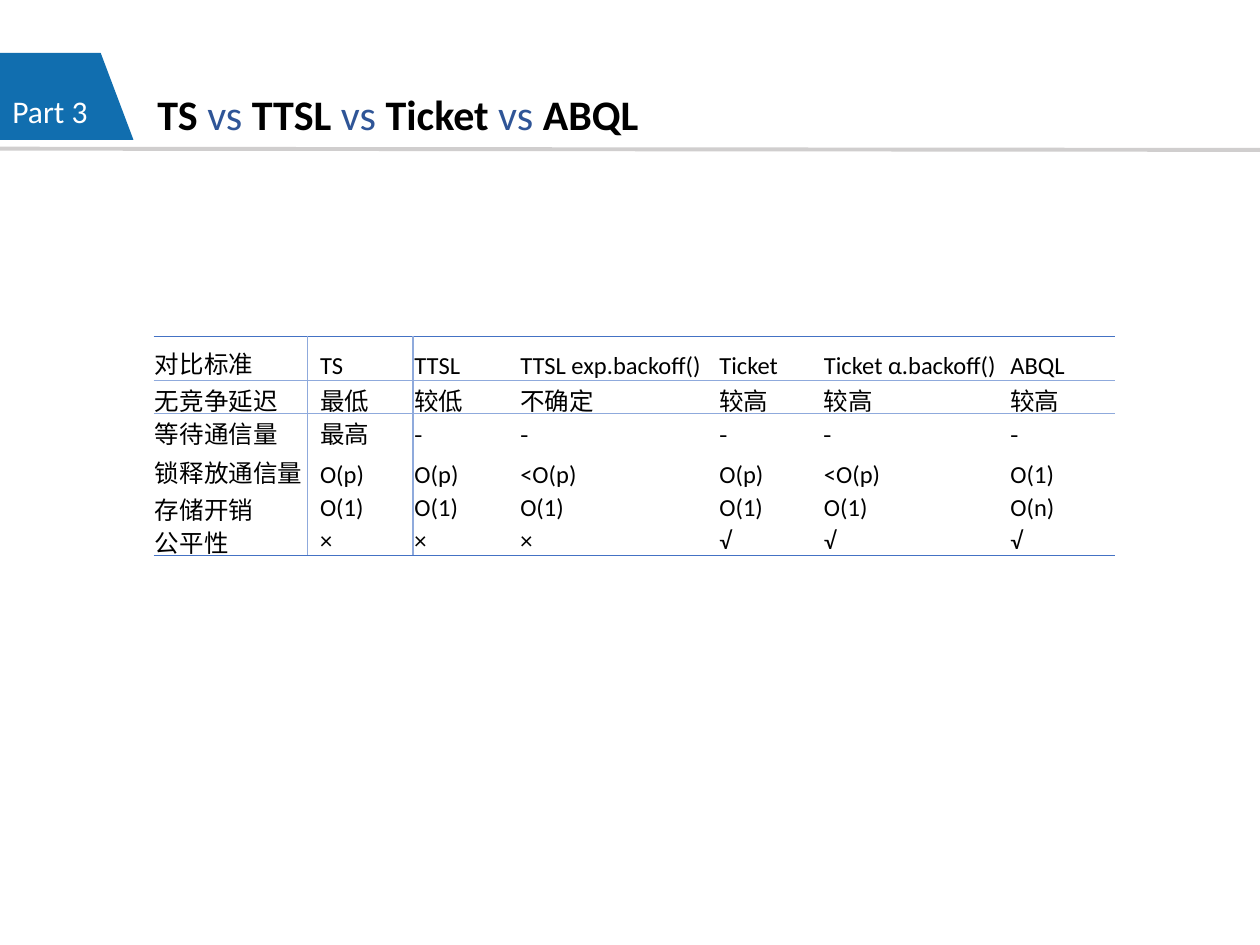
from dataclasses import dataclass

import pptx
import pptx.dml.color
import pptx.enum.shapes
import pptx.enum.text
import pptx.oxml.ns
import pptx.util
from lxml import etree

Inches = pptx.util.Inches
Pt = pptx.util.Pt


@dataclass(frozen=True)
class Theme:
    font: str = "Calibri"
    dash_font: str = "Noto Sans CJK SC"
    title_size: int = 24
    tag_size: int = 18
    table_size: int = 14
    black: str = "000000"
    white: str = "FFFFFF"
    tag_blue: str = "116EAF"
    versus_blue: str = "2F5597"
    outer_border: str = "4472C4"
    inner_border: str = "8FAADC"
    rule_grey: str = "D0CECE"


THEME = Theme()

COLUMN_WIDTHS = [1.22, 0.84, 0.84, 1.58, 0.83, 1.48, 0.84]
ROW_HEIGHTS = [0.35, 0.26, 0.26, 0.35, 0.26, 0.26]
COMPARISON = [
    ["对比标准", "TS", "TTSL", "TTSL exp.backoff()", "Ticket", "Ticket α.backoff()", "ABQL"],
    ["无竞争延迟", "最低", "较低", "不确定", "较高", "较高", "较高"],
    ["等待通信量", "最高", "-", "-", "-", "-", "-"],
    ["锁释放通信量", "O(p)", "O(p)", "<O(p)", "O(p)", "<O(p)", "O(1)"],
    ["存储开销", "O(1)", "O(1)", "O(1)", "O(1)", "O(1)", "O(n)"],
    ["公平性", "×", "×", "×", "√", "√", "√"],
]


def rgb(color):
    return pptx.dml.color.RGBColor.from_string(color)


def add_span(para, text, *, size, color=THEME.black, bold=False, font=THEME.font):
    span = para.add_run()
    span.text = text
    span.font.name = font
    span.font.size = Pt(size)
    span.font.bold = bold
    span.font.color.rgb = rgb(color)


def add_text_box(page, left, top, width, height):
    box = page.shapes.add_textbox(Inches(left), Inches(top), Inches(width), Inches(height))
    box.text_frame.word_wrap = True
    return box


def add_part_tag(page):
    outline = page.shapes.build_freeform(Inches(0), Inches(1.11))
    corners = [(0, 0.42), (0.8, 0.42), (1.06, 1.11)]
    outline.add_line_segments([(Inches(x), Inches(y)) for x, y in corners], close=True)
    tag = outline.convert_to_shape()
    tag.shadow.inherit = False
    tag.fill.solid()
    tag.fill.fore_color.rgb = rgb(THEME.tag_blue)
    tag.line.fill.background()

    label = add_text_box(page, 0, 0.68, 1.06, 0.4)
    add_span(label.text_frame.paragraphs[0], "Part 3", size=THEME.tag_size, color=THEME.white)


def add_title(page, names):
    """Write the names in bold black with a blue "vs" between them."""
    box = add_text_box(page, 1.15, 0.65, 4.41, 0.5)
    box.fill.solid()
    box.fill.fore_color.rgb = rgb(THEME.white)
    para = box.text_frame.paragraphs[0]
    for name in names[:-1]:
        add_span(para, name + " ", size=THEME.title_size, bold=True)
        add_span(para, "vs ", size=THEME.title_size, color=THEME.versus_blue)
    add_span(para, names[-1], size=THEME.title_size, bold=True)


def add_header_rule(page):
    rule = page.shapes.add_connector(
        pptx.enum.shapes.MSO_CONNECTOR.STRAIGHT,
        Inches(-0.01), Inches(1.18), Inches(10.08), Inches(1.19),
    )
    rule.line.color.rgb = rgb(THEME.rule_grey)
    rule.line.width = Pt(2.25)
    etree.SubElement(rule._element.spPr, pptx.oxml.ns.qn("a:effectLst"))


def set_borders(cell, colors):
    """Draw the sides named in colors (L, R, T, B) and hide the others."""
    qn = pptx.oxml.ns.qn
    properties = cell._tc.get_or_add_tcPr()
    for side in "LRTB":
        color = colors.get(side)
        line = etree.SubElement(properties, qn(f"a:ln{side}"), w=str(Pt(1) if color else 0))
        if color:
            fill = etree.SubElement(line, qn("a:solidFill"))
            etree.SubElement(fill, qn("a:srgbClr"), val=color)
        else:
            etree.SubElement(line, qn("a:noFill"))


def border_colors(row, column):
    """Outer rules at top and bottom; inner rules by two rows and two columns."""
    last_row = len(COMPARISON) - 1
    colors = {}
    if row == 0:
        colors["T"] = THEME.outer_border
    elif row <= 2:
        colors["T"] = THEME.inner_border
    if row <= 1:
        colors["B"] = THEME.inner_border
    elif row == last_row:
        colors["B"] = THEME.outer_border
    if column in (1, 2):
        colors["L"] = THEME.inner_border
    if column in (0, 1):
        colors["R"] = THEME.inner_border
    return colors


def fill_cell(cell, text, row, column):
    cell.vertical_anchor = pptx.enum.text.MSO_ANCHOR.BOTTOM
    cell.margin_left = Inches(0.1 if column == 1 else 0.01)
    cell.margin_right = cell.margin_top = Inches(0.01)
    cell.margin_bottom = 0
    font = THEME.dash_font if text == "-" else THEME.font
    add_span(cell.text_frame.paragraphs[0], text, size=THEME.table_size, font=font)
    set_borders(cell, border_colors(row, column))
    cell.fill.background()


def add_comparison_table(page):
    table = page.shapes.add_table(
        len(ROW_HEIGHTS), len(COLUMN_WIDTHS), Inches(1.22), Inches(2.67),
        Inches(sum(COLUMN_WIDTHS)), Inches(sum(ROW_HEIGHTS)),
    ).table
    table.first_row = table.horz_banding = False
    for column, width in zip(table.columns, COLUMN_WIDTHS):
        column.width = Inches(width)
    for row, height in zip(table.rows, ROW_HEIGHTS):
        row.height = Inches(height)
    for r, texts in enumerate(COMPARISON):
        for c, text in enumerate(texts):
            fill_cell(table.cell(r, c), text, r, c)


def main():
    deck = pptx.Presentation()
    deck.slide_width, deck.slide_height = Inches(10), Inches(7.5)
    page = deck.slides.add_slide(deck.slide_layouts[6])
    add_part_tag(page)
    add_title(page, ["TS", "TTSL", "Ticket", "ABQL"])
    add_header_rule(page)
    add_comparison_table(page)
    deck.save("out.pptx")


if __name__ == "__main__":
    main()
